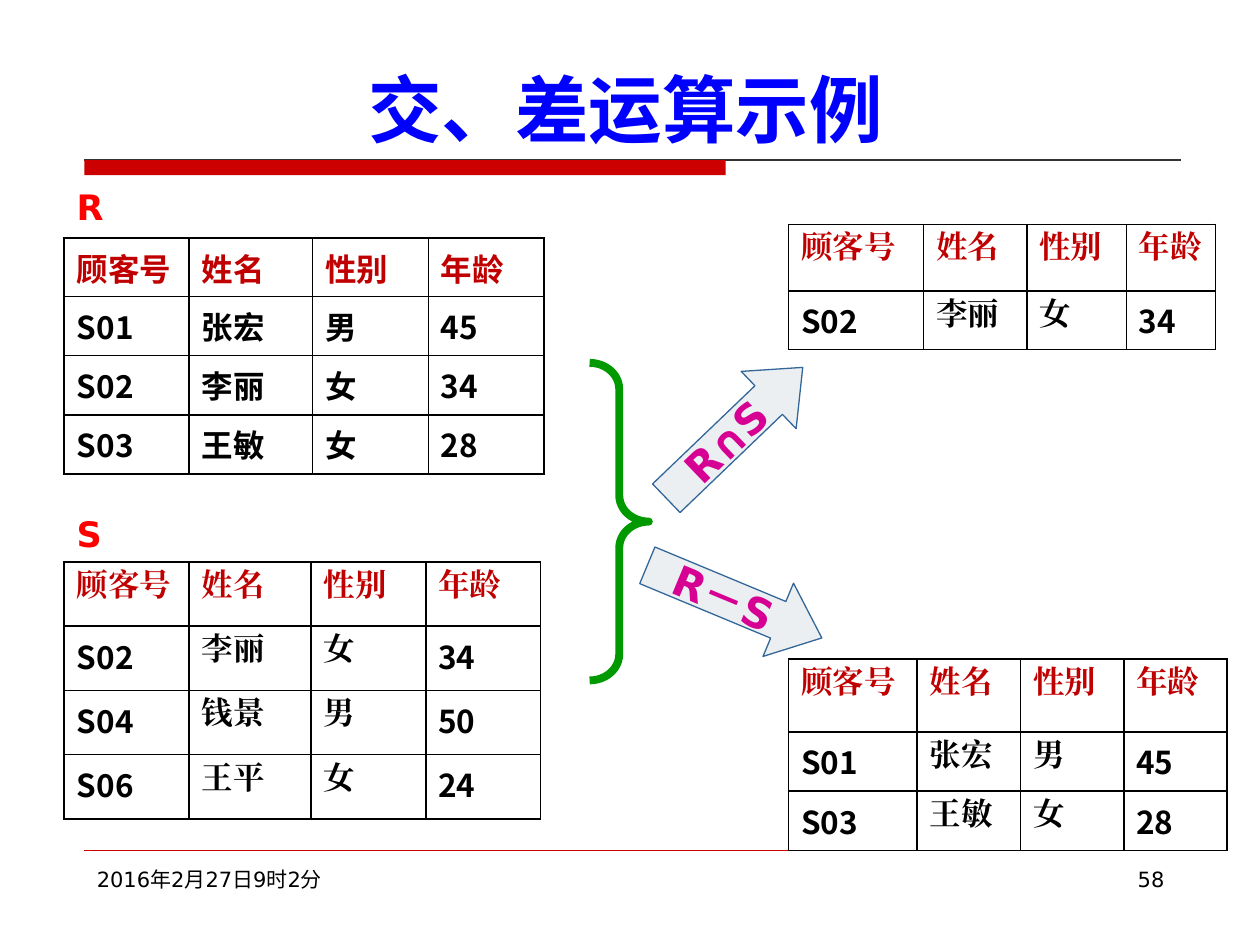
from dataclasses import dataclass

import pptx
import pptx.dml.color
import pptx.enum.shapes
import pptx.enum.text
import pptx.oxml
import pptx.oxml.ns
import pptx.util
from pptx.util import Inches

SHAPES = pptx.enum.shapes.MSO_SHAPE
ALIGN = pptx.enum.text.PP_ALIGN
ANCHOR = pptx.enum.text.MSO_ANCHOR


@dataclass(frozen=True)
class Theme:
    title: str = "0000FF"
    red: str = "CC0000"
    rule: str = "333333"
    label: str = "FF0000"
    header: str = "C00000"
    ink: str = "000000"
    brace: str = "009900"
    arrow_fill: str = "A3B2C1"
    arrow_line: str = "336699"
    arrow_text: str = "D60093"
    sans: str = "DejaVu Sans"
    serif: str = "Times New Roman"
    chinese: str = "Noto Sans CJK SC"
    code: str = "Noto Sans CJK KR"
    title_size: float = 42
    arrow_size: float = 24
    label_size: float = 20
    cell_size: float = 18
    footer_size: float = 12


THEME = Theme()


@dataclass(frozen=True)
class Style:
    size: float
    font: str
    color: str
    bold: bool = True


@dataclass(frozen=True)
class Relation:
    left: float
    top: float
    columns: tuple
    heights: tuple
    customers: tuple
    word_font: str = THEME.serif
    code_font: str = THEME.code


@dataclass(frozen=True)
class Label:
    text: str
    left: float
    top: float
    width: float
    height: float
    style: Style
    align: ALIGN = ALIGN.LEFT
    anchor: ANCHOR = ANCHOR.TOP


@dataclass(frozen=True)
class Operation:
    text: str
    top: float
    rotation: float


HEADER = ("顾客号", "姓名", "性别", "年龄")
ZHANG = ("S01", "张宏", "男", "45")
LI = ("S02", "李丽", "女", "34")
WANG = ("S03", "王敏", "女", "28")
QIAN = ("S04", "钱景", "男", "50")
PING = ("S06", "王平", "女", "24")

RELATIONS = (
    Relation(6.26, 1.78, (1.07, 0.82, 0.79, 0.71), (0.53, 0.46), (LI,)),
    Relation(0.51, 1.89, (0.99, 0.98, 0.92, 0.92), (0.46, 0.47, 0.47, 0.47),
             (ZHANG, LI, WANG), THEME.chinese, THEME.chinese),
    Relation(0.51, 4.46, (0.99, 0.97, 0.91, 0.91), (0.51,) * 4, (LI, QIAN, PING)),
    Relation(6.26, 5.23, (1.02, 0.82, 0.82, 0.82), (0.58, 0.47, 0.47), (ZHANG, WANG)),
)
OPERATIONS = (Operation("R∩S", 3.12, 316.2), Operation("R－S", 4.46, 22.6))

TITLE = Style(THEME.title_size, THEME.chinese, THEME.title)
NAME = Style(THEME.label_size, THEME.sans, THEME.label)
FOOTER = Style(THEME.footer_size, THEME.sans, THEME.ink, False)
LABELS = (
    Label("交、差运算示例", 0.59, 0.36, 8.75, 0.9, TITLE, ALIGN.CENTER, ANCHOR.BOTTOM),
    Label("R", 0.51, 1.42, 0.94, 0.44, NAME),
    Label("S", 0.51, 4.02, 0.94, 0.44, NAME),
    Label("2016年2月27日9时2分", 0.67, 6.83, 2.17, 0.52, FOOTER),
    Label("58", 7.17, 6.83, 2.17, 0.52, FOOTER, ALIGN.RIGHT),
)


def rgb(color: str) -> pptx.dml.color.RGBColor:
    return pptx.dml.color.RGBColor.from_string(color)


def write(frame, text: str, style: Style, align=ALIGN.LEFT) -> None:
    frame.text = text
    para = frame.paragraphs[0]
    para.alignment = align
    for span in para.runs:
        span.font.size = pptx.util.Pt(style.size)
        span.font.bold = style.bold
        span.font.name = style.font
        span.font.color.rgb = rgb(style.color)
        east_asian = pptx.oxml.parse_xml(
            f'<a:ea {pptx.oxml.ns.nsdecls("a")} typeface="{style.font}"/>')
        span.font._element.append(east_asian)


def add_rule(page, left: float, right: float, y: float, color: str, width: float) -> None:
    rule = page.shapes.add_connector(
        pptx.enum.shapes.MSO_CONNECTOR.STRAIGHT,
        Inches(left), Inches(y), Inches(right), Inches(y))
    rule.line.color.rgb = rgb(color)
    rule.line.width = pptx.util.Pt(width)
    rule._element.spPr.append(
        pptx.oxml.parse_xml(f'<a:effectLst {pptx.oxml.ns.nsdecls("a")}/>'))


def add_label(page, label: Label) -> None:
    box = page.shapes.add_textbox(Inches(label.left), Inches(label.top),
                                  Inches(label.width), Inches(label.height))
    box.text_frame.word_wrap = True
    box.text_frame.vertical_anchor = label.anchor
    write(box.text_frame, label.text, label.style, label.align)


def style_cell(cell) -> None:
    """Give the cell a thin border all round and no fill."""
    properties = cell._tc.get_or_add_tcPr()
    for side in "LRTB":
        properties.append(pptx.oxml.parse_xml(
            f'<a:ln{side} {pptx.oxml.ns.nsdecls("a")} w="12700"><a:solidFill>'
            f'<a:srgbClr val="{THEME.ink}"/></a:solidFill></a:ln{side}>'))
    cell.fill.background()


def add_relation(page, relation: Relation) -> None:
    rows = (HEADER, *relation.customers)
    table = page.shapes.add_table(
        len(rows), len(HEADER), Inches(relation.left), Inches(relation.top),
        Inches(sum(relation.columns)), Inches(sum(relation.heights))).table
    table.first_row = table.horz_banding = False
    for column, width in zip(table.columns, relation.columns):
        column.width = Inches(width)
    for row, height in zip(table.rows, relation.heights):
        row.height = Inches(height)
    for r, values in enumerate(rows):
        for c, value in enumerate(values):
            cell = table.cell(r, c)
            style_cell(cell)
            font = relation.code_font if value.isascii() else relation.word_font
            color = THEME.ink if r else THEME.header
            write(cell.text_frame, value, Style(THEME.cell_size, font, color))
            indents = cell.text_frame.paragraphs[0]._p.get_or_add_pPr()
            indents.set("marL", str(Inches(0.38)))
            indents.set("indent", str(-Inches(0.38)))


def add_shape(page, kind, left: float, top: float, width: float, height: float):
    shape = page.shapes.add_shape(kind, Inches(left), Inches(top),
                                  Inches(width), Inches(height))
    shape.shadow.inherit = False
    return shape


def add_operation(page, operation: Operation) -> None:
    arrow = add_shape(page, SHAPES.RIGHT_ARROW, 5.08, operation.top, 1.5, 0.63)
    arrow.adjustments[1] = 0.594
    arrow.rotation = operation.rotation
    arrow.fill.solid()
    arrow.fill.fore_color.rgb = rgb(THEME.arrow_fill)
    tint = arrow._element.spPr.find(".//" + pptx.oxml.ns.qn("a:srgbClr"))
    tint.append(pptx.oxml.parse_xml(
        f'<a:alpha {pptx.oxml.ns.nsdecls("a")} val="20000"/>'))
    arrow.line.color.rgb = rgb(THEME.arrow_line)
    arrow.line.width = pptx.util.Pt(0.75)
    arrow.text_frame.word_wrap = False
    arrow.text_frame.vertical_anchor = ANCHOR.MIDDLE
    write(arrow.text_frame, operation.text,
          Style(THEME.arrow_size, THEME.sans, THEME.arrow_text), ALIGN.CENTER)


def main() -> None:
    deck = pptx.Presentation()
    deck.slide_width, deck.slide_height = Inches(10), Inches(7.5)
    page = deck.slides.add_slide(deck.slide_layouts[6])

    add_rule(page, 0.67, 9.37, 1.27, THEME.rule, 0.75)
    bar = add_shape(page, SHAPES.RECTANGLE, 0.67, 1.27, 5.09, 0.12)
    bar.fill.solid()
    bar.fill.fore_color.rgb = rgb(THEME.red)
    bar.line.fill.background()
    add_rule(page, 0.67, 9.33, 6.75, THEME.red, 0.25)

    for relation in RELATIONS:
        add_relation(page, relation)
    brace = add_shape(page, SHAPES.RIGHT_BRACE, 4.68, 2.88, 0.47, 2.52)
    brace.adjustments[0] = 0.443
    brace.fill.background()
    brace.line.color.rgb = rgb(THEME.brace)
    brace.line.width = pptx.util.Pt(4.5)
    for operation in OPERATIONS:
        add_operation(page, operation)
    for label in LABELS:
        add_label(page, label)
    deck.save("out.pptx")


if __name__ == "__main__":
    main()
